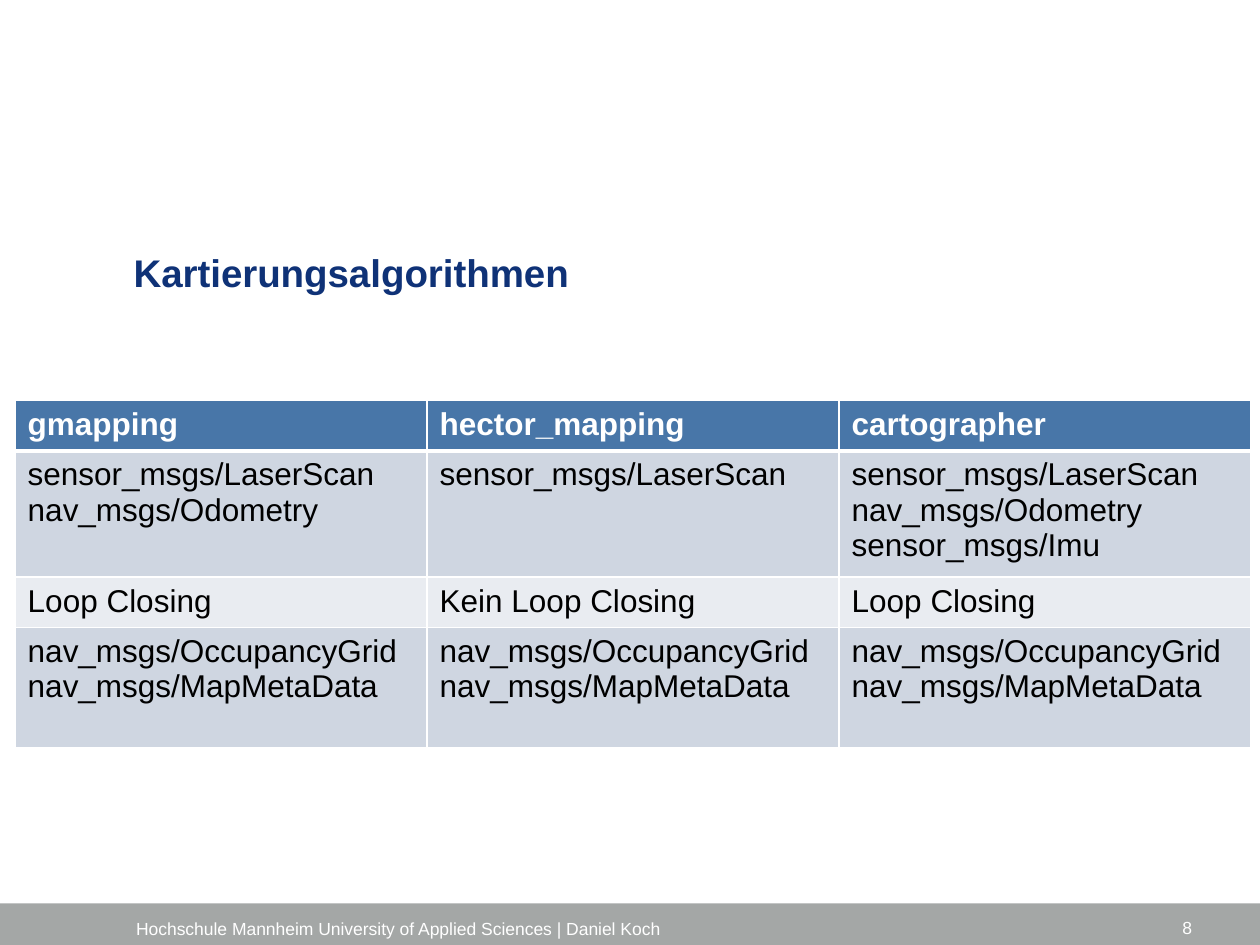
from lxml.etree import SubElement
from pptx import Presentation
from pptx.dml.color import RGBColor
from pptx.enum.shapes import MSO_SHAPE
from pptx.enum.text import MSO_ANCHOR, PP_ALIGN
from pptx.oxml.ns import qn
from pptx.util import Inches, Pt

COLORS = {
    "white": "FFFFFF", "black": "000000", "navy": "0F3277", "gray": "A4A7A6",
    "head": "4876A8", "dark": "CFD6E1", "light": "E9ECF1",
}
WIDE, HIGH = 10, 7.5
MAPS = "nav_msgs/OccupancyGrid\nnav_msgs/MapMetaData"
ROWS = [
    ["gmapping", "hector_mapping", "cartographer"],
    ["sensor_msgs/LaserScan\nnav_msgs/Odometry",
     "sensor_msgs/LaserScan",
     "sensor_msgs/LaserScan\nnav_msgs/Odometry\nsensor_msgs/Imu"],
    ["Loop Closing", "Kein Loop Closing", "Loop Closing"],
    [MAPS] * 3,
]


def tint(name):
    return RGBColor.from_string(COLORS[name])


def area(x, y, w, h):
    """Turn percentages of the slide's size into lengths."""
    return [Inches(round(part * size / 100, 2))
            for part, size in zip((x, y, w, h), (WIDE, HIGH) * 2)]


class Page:
    font = "Arial"

    def __init__(self, deck):
        self.slide = deck.slides.add_slide(deck.slide_layouts[5])
        self.shapes = self.slide.shapes

    def style(self, frame, text, size, color, bold=False,
              align=PP_ALIGN.LEFT, space=None):
        frame.text = text
        for para in frame.paragraphs:
            para.alignment = align
            para.line_spacing = space
            font = para.font
            font.name, font.size, font.bold = self.font, Pt(size), bold
            font.color.rgb = tint(color)

    def frame(self, shape, anchor, wrap=True):
        """Set up a text frame without insets."""
        body = shape.text_frame
        body.margin_left = body.margin_right = 0
        body.margin_top = body.margin_bottom = 0
        body.vertical_anchor, body.word_wrap = anchor, wrap
        return body

    def title(self, text, box):
        head = self.shapes.title
        head.left, head.top, head.width, head.height = area(*box)
        body = self.frame(head, MSO_ANCHOR.TOP)
        self.style(body, text, 22, "navy", True, space=1.1)

    def bar(self, box, color):
        shape = self.shapes.add_shape(MSO_SHAPE.RECTANGLE, *area(*box))
        shape.shadow.inherit = False
        shape.fill.solid()
        shape.fill.fore_color.rgb = tint(color)
        shape.line.fill.background()

    def label(self, text, box, anchor, align=PP_ALIGN.LEFT, wrap=True):
        shape = self.shapes.add_textbox(*area(*box))
        body = self.frame(shape, anchor, wrap)
        self.style(body, text, 10, "white", align=align)

    def edge(self, cell, side, width):
        line = SubElement(cell._tc.get_or_add_tcPr(), qn(f"a:ln{side}"),
                          w=str(Pt(width)))
        fill = SubElement(line, qn("a:solidFill"))
        SubElement(fill, qn("a:srgbClr"), val=COLORS["white"])

    def table(self, rows, box, parts):
        """Draw a banded table; parts are the row heights as shares of it."""
        shape = self.shapes.add_table(len(rows), len(rows[0]), *area(*box))
        grid = shape.table
        for row, part in zip(grid.rows, parts):
            row.height = int(shape.height * part)
        for r, row in enumerate(rows):
            band = "head" if r == 0 else "dark" if r % 2 else "light"
            for c, text in enumerate(row):
                cell = grid.cell(r, c)
                for side in "LRTB":
                    thick = (r, side) in ((0, "B"), (1, "T"))
                    self.edge(cell, side, 3 if thick else 1)
                cell.fill.solid()
                cell.fill.fore_color.rgb = tint(band)
                self.style(cell.text_frame, text, 18,
                           "black" if r else "white", r == 0)


def main():
    deck = Presentation()
    deck.slide_width, deck.slide_height = Inches(WIDE), Inches(HIGH)
    page = Page(deck)
    page.bar((0, 95.6, 100, 4.4), "gray")
    page.title("Kartierungsalgorithmen", (10.6, 25.9, 84.3, 11.6))
    page.label("Hochschule Mannheim University of Applied Sciences | Daniel Koch",
               (10.8, 96.7, 56.5, 2.7), MSO_ANCHOR.BOTTOM, wrap=False)
    page.label("8", (72.3, 95.5, 22.3, 5.3), MSO_ANCHOR.MIDDLE,
               PP_ALIGN.RIGHT)
    page.table(ROWS, (1.2, 42.4, 98.1, 39.3), (0.13, 0.32, 0.14, 0.41))
    deck.save("out.pptx")


if __name__ == "__main__":
    main()
